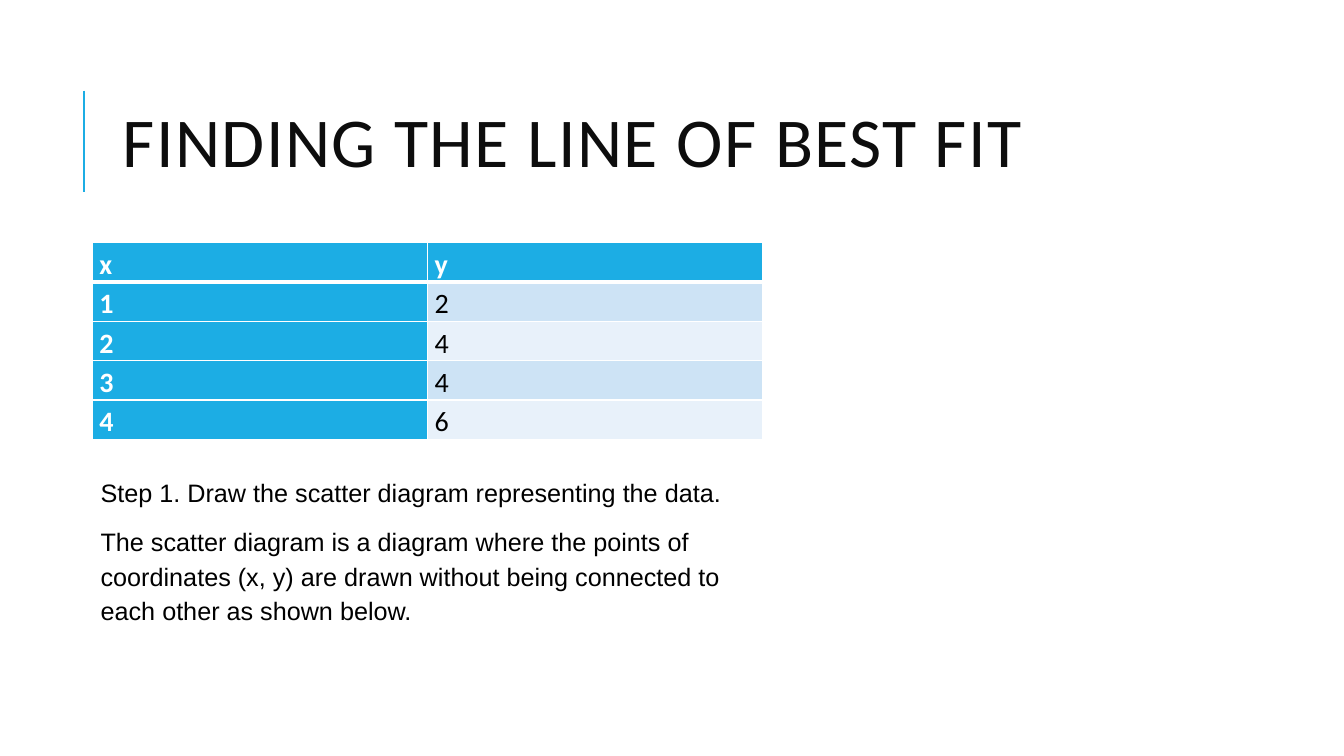
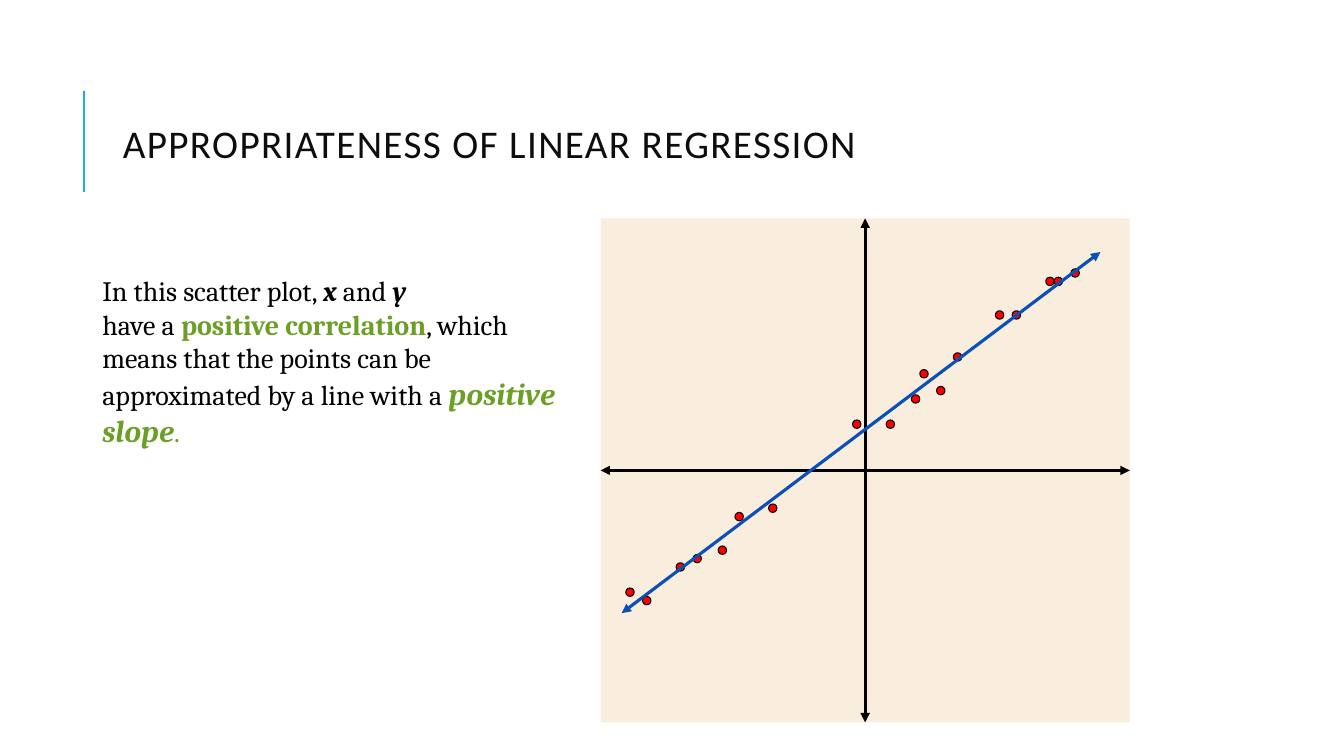
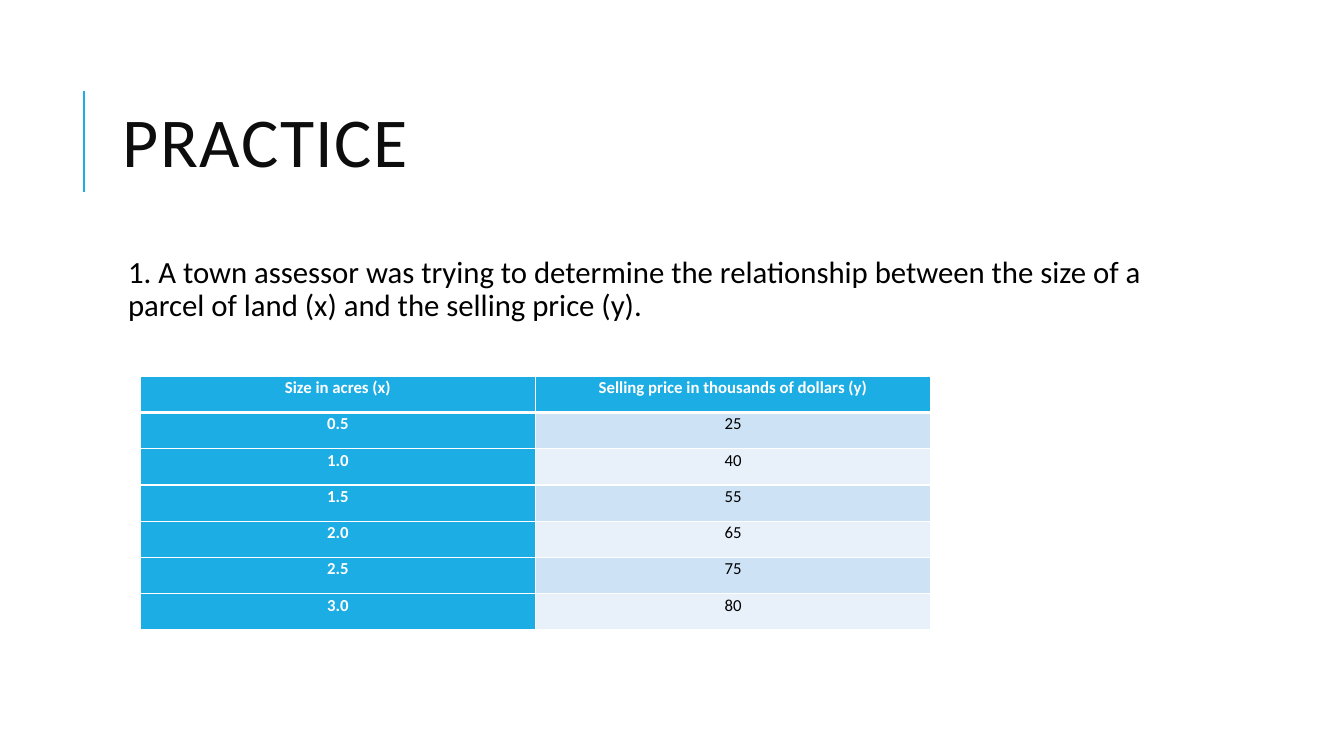
from typing import NamedTuple, Optional, Sequence

from lxml import etree
from pptx import Presentation
from pptx.dml.color import RGBColor
from pptx.enum.shapes import MSO_CONNECTOR as Conn, MSO_SHAPE as Shape
from pptx.enum.text import MSO_ANCHOR as Anchor, PP_ALIGN as Align
from pptx.oxml.ns import qn
from pptx.util import Emu, Inches, Pt

COLORS = {
    "accent": "1CADE4",
    "title": "0D0D0D",
    "text": "000000",
    "white": "FFFFFF",
    "band_dark": "CDE3F5",
    "band_light": "E8F1FA",
    "green": "6B9F25",
    "panel": "F9EDDE",
    "dot": "FF0000",
    "trend": "0A50B7",
}

# The slide is a grid of 160 columns by 90 rows, twelve to the inch
COLS, ROWS = 160, 90
CELL = Inches(1) // 12


class Box(NamedTuple):
    left: float
    top: float
    width: float
    height: float


class Style(NamedTuple):
    size: float
    font: str = "Calibri"
    color: str = "text"
    bold: bool = False
    line: float = 1.0
    after: float = 0
    align: Align = Align.LEFT


class Span(NamedTuple):
    text: str
    bold: bool = False
    italic: bool = False
    color: Optional[str] = None
    size: Optional[float] = None


class Dot(NamedTuple):
    col: int
    row: int


def grid(n: float) -> Emu:
    return Emu(round(n * CELL))


def rgb(name: str) -> RGBColor:
    return RGBColor.from_string(COLORS[name])


def style_paragraph(p, style: Style) -> None:
    p.alignment = style.align
    p.line_spacing = style.line
    p.space_after = Pt(style.after)
    f = p.font
    f.size, f.name, f.bold = Pt(style.size), style.font, style.bold
    f.color.rgb = rgb(style.color)


def add_text(slide, box: Box, paragraphs: Sequence[str], style: Style,
             anchor: Anchor = Anchor.TOP):
    tf = slide.shapes.add_textbox(*map(grid, box)).text_frame
    tf.word_wrap = True
    tf.vertical_anchor = anchor
    for i, text in enumerate(paragraphs):
        p = tf.paragraphs[0] if i == 0 else tf.add_paragraph()
        p.text = text
        style_paragraph(p, style)
    return tf


def add_spans(p, spans: Sequence[Span]) -> None:
    for span in spans:
        r = p.add_run()
        r.text = span.text
        r.font.bold, r.font.italic = span.bold, span.italic
        if span.color:
            r.font.color.rgb = rgb(span.color)
        if span.size:
            r.font.size = Pt(span.size)


def add_line(slide, start: tuple[float, float], end: tuple[float, float],
             color: str, width: float, arrows: bool = False):
    line = slide.shapes.add_connector(Conn.STRAIGHT, *map(grid, start + end))
    line.line.color.rgb = rgb(color)
    line.line.width = Pt(width)
    if arrows:
        ln = line.line._get_or_add_ln()
        for tag in ("a:headEnd", "a:tailEnd"):
            etree.SubElement(ln, qn(tag), type="triangle")
    etree.SubElement(line._element.spPr, qn("a:effectLst"))
    return line


def add_shape(slide, kind: Shape, box: Box, fill: str,
              outline: Optional[str] = None):
    sp = slide.shapes.add_shape(kind, *map(grid, box))
    sp.shadow.inherit = False
    sp.fill.solid()
    sp.fill.fore_color.rgb = rgb(fill)
    if outline:
        sp.line.color.rgb = rgb(outline)
        sp.line.width = Pt(0.75)
    else:
        sp.line.fill.background()
    return sp


def set_borders(cell, top: float, bottom: float) -> None:
    tc_pr = cell._tc.get_or_add_tcPr()
    for side, width in (("L", 1), ("R", 1), ("T", top), ("B", bottom)):
        ln = etree.SubElement(tc_pr, qn(f"a:ln{side}"), w=str(Pt(width)))
        fill = etree.SubElement(ln, qn("a:solidFill"))
        etree.SubElement(fill, qn("a:srgbClr"), val=COLORS["white"])


def add_data_table(slide, box: Box, rows: Sequence[tuple[str, str]],
                   style: Style) -> None:
    """Header row and first column in the accent colour, banded values."""
    table = slide.shapes.add_table(len(rows), len(rows[0]),
                                   *map(grid, box)).table
    for i, row in enumerate(rows):
        table.rows[i].height = grid(box.height / len(rows))
        for j, text in enumerate(row):
            cell = table.cell(i, j)
            cell.margin_left = cell.margin_right = Inches(0.07)
            cell.margin_top = cell.margin_bottom = 0
            set_borders(cell, 3 if i == 1 else 1, 3 if i == 0 else 1)
            heading = i == 0 or j == 0
            band = "band_dark" if i % 2 else "band_light"
            cell.fill.solid()
            cell.fill.fore_color.rgb = rgb("accent" if heading else band)
            p = cell.text_frame.paragraphs[0]
            p.text = text
            color = "white" if heading else "text"
            style_paragraph(p, style._replace(color=color, bold=heading))


def add_slide(prs, title: str, size: float = 50):
    """Blank slide with the accent bar and the title."""
    slide = prs.slides.add_slide(prs.slide_layouts[6])
    add_line(slide, (10, 10.8), (10, 22.8), "accent", 1.5)
    tf = add_text(slide, Box(13.45, 7.7, 127.5, 19.7), [title],
                  Style(size, color="title", line=0.8), Anchor.MIDDLE)
    tf.paragraphs[0].runs[0]._r.get_or_add_rPr().set("spc", "100")
    return slide


def build_best_fit(prs) -> None:
    slide = add_slide(prs, "FINDING THE LINE OF BEST FIT")
    rows = [("x", "y"), ("1", "2"), ("2", "4"), ("3", "4"), ("4", "6")]
    add_data_table(slide, Box(11, 28.9, 79.8, 23.4), rows,
                   Style(20, line=1.15))
    add_text(slide, Box(10.8, 55.7, 80, 19.6), [
        "Step 1. Draw the scatter diagram representing the data.",
        "The scatter diagram is a diagram where the points of coordinates "
        "(x, y) are drawn without being connected to each other as shown "
        "below.",
    ], Style(18, "Arial", line=1.15, after=10))


# Dots of the scatter plot, in grid cells from the panel's corner
DOTS = [Dot(*at) for at in (
    (3, 44), (5, 45), (9, 41), (11, 40), (14, 39), (16, 35),
    (20, 34), (30, 24), (34, 24), (37, 21), (38, 18), (40, 20),
    (42, 16), (47, 11), (49, 11), (53, 7), (54, 7), (56, 6),
)]


def build_regression(prs) -> None:
    slide = add_slide(prs, "APPROPRIATENESS OF LINEAR REGRESSION", 28)

    # Explanation
    tf = add_text(slide, Box(11, 32, 58.7, 17.8), [""], Style(20, "Cambria"))
    p = tf.paragraphs[0]
    add_spans(p, [
        Span("In this scatter plot, "),
        Span("x", bold=True, italic=True),
        Span(" and "),
        Span("y", bold=True, italic=True),
    ])
    p.add_line_break()
    add_spans(p, [
        Span("have a "),
        Span("positive correlation", bold=True, color="green"),
        Span(", which means that the points can be approximated by a line "
             "with a "),
        Span("positive slope", True, True, "green", 22),
        Span(".", color="green"),
    ])

    # Panel and axes
    box = Box(71.5, 26, 63, 60)
    left, top, width, height = box
    right, bottom = left + width, top + height
    mid_x, mid_y = left + width / 2, top + height / 2
    panel = add_shape(slide, Shape.RECTANGLE, box, "panel")
    for start, end, sites in (
        ((mid_x, top), (mid_x, bottom), (0, 2)),
        ((left, mid_y), (right, mid_y), (1, 3)),
    ):
        axis = add_line(slide, start, end, "text", 2.25, arrows=True)
        axis.begin_connect(panel, sites[0])
        axis.end_connect(panel, sites[1])

    # Data and trend
    for dot in DOTS:
        add_shape(slide, Shape.OVAL,
                  Box(left + dot.col, top + dot.row, 1, 1), "dot", "text")
    add_line(slide, (left + 2.5, top + 47), (left + 59.5, top + 4),
             "trend", 2.25, arrows=True)


def build_practice(prs) -> None:
    slide = add_slide(prs, "PRACTICE")
    tf = add_text(slide, Box(13.45, 30, 127.5, 10), [
        "1. A town assessor was trying to determine the relationship between "
        "the size of a parcel of land (x) and the selling price (y).",
    ], Style(22, line=0.9, after=2))
    tf.margin_left = Inches(0.15)
    tf.margin_top = tf.margin_right = tf.margin_bottom = Inches(0.05)
    add_data_table(slide, Box(16.7, 44.8, 94.1, 30.2), [
        ("Size in acres (x)", "Selling price in thousands of dollars (y)"),
        ("0.5", "25"), ("1.0", "40"), ("1.5", "55"),
        ("2.0", "65"), ("2.5", "75"), ("3.0", "80"),
    ], Style(12, line=1.07, align=Align.CENTER))


def main() -> None:
    prs = Presentation()
    prs.slide_width, prs.slide_height = grid(COLS), grid(ROWS)
    build_best_fit(prs)
    build_regression(prs)
    build_practice(prs)
    prs.save("out.pptx")


if __name__ == "__main__":
    main()
